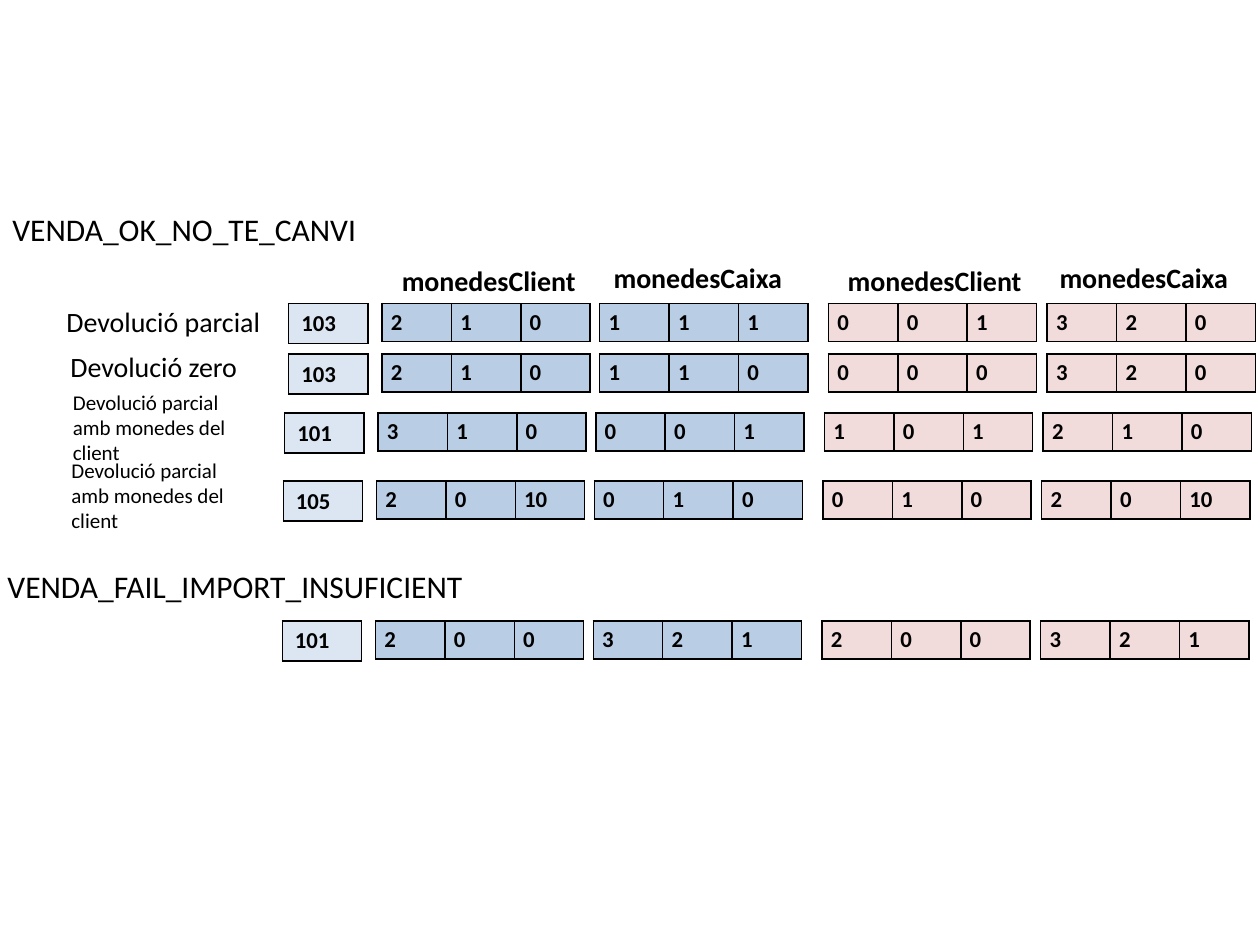
from pptx import Presentation
from pptx.dml.color import RGBColor
from pptx.enum.text import MSO_AUTO_SIZE
from pptx.oxml.ns import qn
from pptx.util import Cm, Pt
from lxml.etree import SubElement

BLACK = RGBColor(0x00, 0x00, 0x00)
PALE = RGBColor(0xDC, 0xE6, 0xF2)
BLUE = RGBColor(0xB9, 0xCD, 0xE5)
PINK = RGBColor(0xF2, 0xDC, 0xDB)

# Section titles: text, left, top
TITLES = [
    ("VENDA_OK_NO_TE_CANVI", 0, 4.11),
    ("VENDA_FAIL_IMPORT_INSUFICIENT", -0.1, 11.3),
]
# Column headings: text, left, top, width
HEADS = [
    ("monedesClient", 7.85, 5.18, 4.06),
    ("monedesCaixa", 12.12, 5.13, 3.96),
    ("monedesClient", 16.84, 5.18, 4.06),
    ("monedesCaixa", 21.11, 5.13, 3.96),
]
# Case labels: text, left, top, width, height, size, wrap
PART = "Devolució parcial amb monedes del client"
LABELS = [
    ("Devolució parcial", 1.09, 6.02, 4.47, 0.94, 16, False),
    ("Devolució zero", 1.17, 6.93, 3.94, 0.94, 16, False),
    (PART, 1.22, 7.72, 4.27, 1.8, 12, True),
    (PART, 1.19, 9.09, 4.27, 1.8, 12, True),
]
# Cases: left, top, price, then coins of client and till before and after
CASES = [
    (5.82, 6.12, 103, (2, 1, 0), (1, 1, 1), (0, 0, 1), (3, 2, 0)),
    (5.82, 7.14, 103, (2, 1, 0), (1, 1, 0), (0, 0, 0), (3, 2, 0)),
    (5.74, 8.33, 101, (3, 1, 0), (0, 0, 1), (1, 0, 1), (2, 1, 0)),
    (5.71, 9.7, 105, (2, 0, 10), (0, 1, 0), (0, 1, 0), (2, 0, 10)),
    (5.69, 12.52, 101, (2, 0, 0), (3, 2, 1), (2, 0, 0), (3, 2, 1)),
]
# Coin tables: offset from the price, fill
COINS = [(1.88, BLUE), (6.27, BLUE), (10.88, PINK), (15.29, PINK)]

deck = Presentation()
deck.slide_width, deck.slide_height = Cm(25.4), Cm(19.05)
slide = deck.slides.add_slide(deck.slide_layouts[6])


def write(frame, text, size=16, bold=False):
    run = frame.paragraphs[0].add_run()
    run.text = str(text)
    font = run.font
    font.name, font.size, font.bold = "Calibri", Pt(size), bold
    font.color.rgb = BLACK


def label(text, x, y, w, h, size=16, wrap=False, bold=False):
    box = slide.shapes.add_textbox(Cm(x), Cm(y), Cm(w), Cm(h))
    frame = box.text_frame
    frame.word_wrap = wrap
    frame.auto_size = MSO_AUTO_SIZE.SHAPE_TO_FIT_TEXT
    write(frame, text, size=size, bold=bold)


def frame_cell(cell):
    props = cell._tc.get_or_add_tcPr()
    for side in ("a:lnL", "a:lnR", "a:lnT", "a:lnB"):
        line = SubElement(props, qn(side), w=str(Pt(1)))
        fill = SubElement(line, qn("a:solidFill"))
        SubElement(fill, qn("a:srgbClr"), val=str(BLACK))


def strip(values, x, y, wide, high, fill, pad=None):
    """Draw a one-row table of values."""
    grid = slide.shapes.add_table(
        1, len(values), Cm(x), Cm(y), Cm(wide * len(values)), Cm(high)).table
    grid.first_row = grid.horz_banding = False
    grid.rows[0].height = Cm(high)
    for col, value in enumerate(values):
        grid.columns[col].width = Cm(wide)
        cell = grid.cell(0, col)
        if pad:
            cell.margin_left = cell.margin_right = Cm(pad[0])
            cell.margin_top = cell.margin_bottom = Cm(pad[1])
        frame_cell(cell)
        cell.fill.solid()
        cell.fill.fore_color.rgb = fill
        write(cell.text_frame, value, size=13, bold=True)


# Titles, headings and labels
for text, x, y in TITLES:
    label(text, x, y, 12.7, 1.02, size=18, wrap=True)
for text, x, y, w in HEADS:
    label(text, x, y, w, 0.94, bold=True)
for item in LABELS:
    label(*item)

# Price and coin tables
for x, y, price, *sets in CASES:
    strip([price], x, y, 1.6, 0.8, PALE)
    for (shift, fill), coins in zip(COINS, sets):
        strip(coins, x + shift, y, 1.4, 0.76, fill, pad=(0.18, 0.1))

deck.save("out.pptx")
